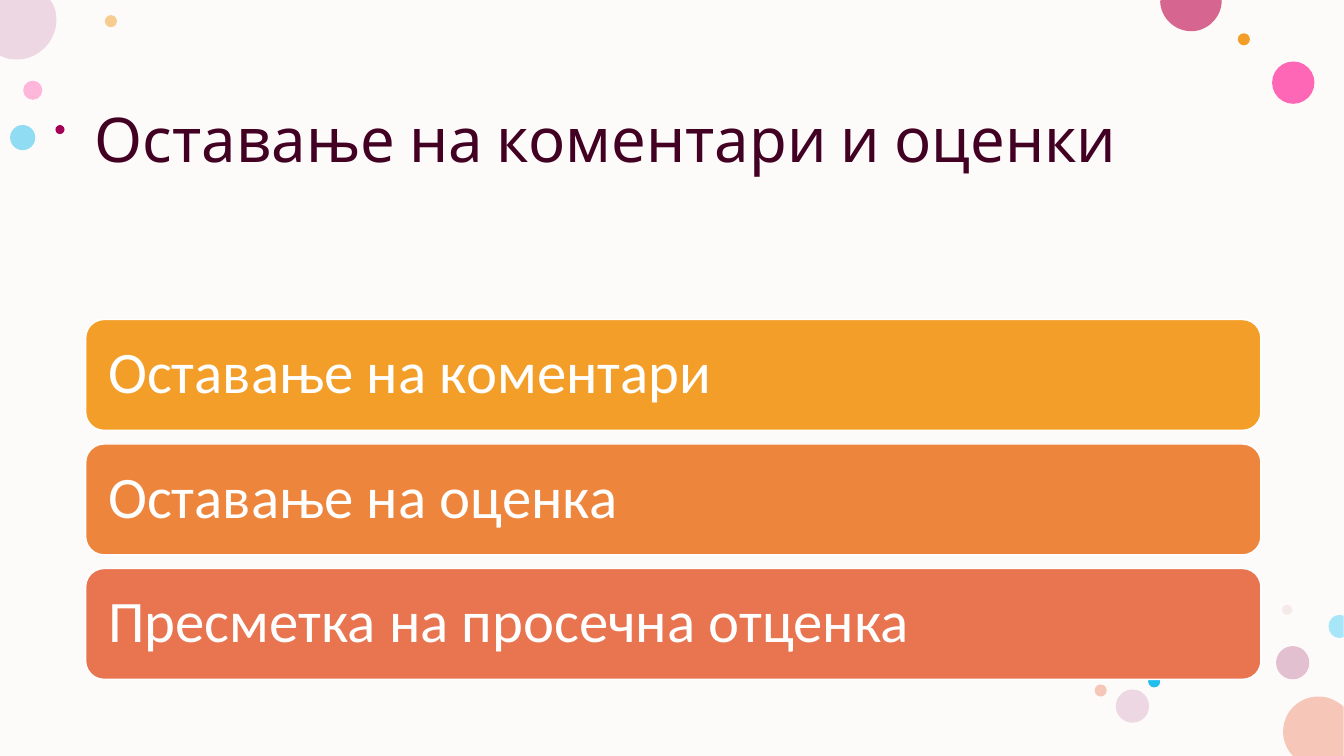
import pptx
import pptx.util
from lxml import etree
from pptx.dml.color import RGBColor
from pptx.enum.shapes import MSO_SHAPE
from pptx.enum.text import MSO_ANCHOR, PP_ALIGN
from pptx.oxml.ns import qn
from pptx.util import Inches

SLIDE_HEIGHT = 7.5
SLIDE_WIDTH = SLIDE_HEIGHT * 16 / 9

CREAM = RGBColor(0xFD, 0xFB, 0xF9)
WHITE = RGBColor(0xFF, 0xFF, 0xFF)
PLUM = RGBColor(0x42, 0x00, 0x23)
AMBER = RGBColor(0xF3, 0x9E, 0x29)
ORANGE = RGBColor(0xED, 0x85, 0x3D)
CORAL = RGBColor(0xE8, 0x74, 0x50)
PINK = RGBColor(0xFF, 0x75, 0xBD)
HOT_PINK = RGBColor(0xFF, 0x2F, 0x9C)
MAUVE = RGBColor(0xC9, 0x87, 0xA8)
SKY = RGBColor(0x24, 0xBE, 0xEE)
PALE_SKY = RGBColor(0xA7, 0xE5, 0xF8)
DUSTY = RGBColor(0xE3, 0xBE, 0xBE)
LILAC = RGBColor(0xED, 0xD7, 0xE2)
PEACH = RGBColor(0xF6, 0xC7, 0xB9)
ROSE = RGBColor(0xD6, 0x65, 0x8F)
MAGENTA = RGBColor(0xA4, 0x00, 0x56)

# left, top, diameter, colour, opacity in percent
DOTS = [
    (0.23, 0.8, 0.19, PINK, 50),
    (1.04, 0.15, 0.12, AMBER, 50),
    (12.66, 6.41, 0.33, MAUVE, 50),
    (0.1, 1.24, 0.25, SKY, 50),
    (12.62, 0.61, 0.42, HOT_PINK, 72),
    (12.28, 0.33, 0.12, AMBER, 100),
    (12.72, 6, 0.1, DUSTY, 28),
    (11.39, 6.7, 0.12, SKY, 100),
    (11.07, 6.84, 0.33, LILAC, 100),
    (10.86, 6.79, 0.12, PEACH, 100),
    (0.55, 1.24, 0.09, MAGENTA, 100),
]

# colour, start point, then segments of one point (line) or three (curve)
EDGE_CIRCLES = [
    (PEACH, (13.08, 6.91), [
        [(13.18, 6.91), (13.26, 6.95), (13.33, 7.01)],
        [(13.33, 7.5)], [(12.83, 7.5)], [(12.81, 7.48)],
        [(12.76, 7.42), (12.73, 7.34), (12.73, 7.26)],
        [(12.73, 7.06), (12.89, 6.91), (13.08, 6.91)]]),
    (LILAC, (0, 0), [
        [(0.5, 0)], [(0.53, 0.05)],
        [(0.55, 0.09), (0.56, 0.14), (0.56, 0.2)],
        [(0.56, 0.41), (0.38, 0.59), (0.17, 0.59)],
        [(0.11, 0.59), (0.06, 0.58), (0.02, 0.56)],
        [(0, 0.55)]]),
    (ROSE, (11.52, 0), [
        [(12.12, 0)], [(12.12, 0.01)],
        [(12.12, 0.17), (11.98, 0.31), (11.82, 0.31)],
        [(11.65, 0.31), (11.51, 0.17), (11.51, 0.01)]]),
    (PALE_SKY, (13.29, 6.1), [
        [(13.33, 6.11)], [(13.33, 6.32)], [(13.29, 6.33)],
        [(13.23, 6.33), (13.18, 6.28), (13.18, 6.21)],
        [(13.18, 6.15), (13.23, 6.1), (13.29, 6.1)]]),
]

BARS = [
    ("Оставање на коментари", AMBER),
    ("Оставање на оценка", ORANGE),
    ("Пресметка на просечна отценка", CORAL),
]
BAR_LEFT, BAR_WIDTH, BAR_HEIGHT = 0.85, 11.66, 1.1
BARS_TOP, BARS_BOTTOM = 3.17, 6.74


def paint(shape, color, opacity=100):
    shape.shadow.inherit = False
    shape.line.fill.background()
    shape.fill.solid()
    shape.fill.fore_color.rgb = color
    if opacity < 100:
        color_element = shape.fill._xPr.find(qn("a:solidFill"))[0]
        etree.SubElement(color_element, qn("a:alpha"), val=str(opacity * 1000))


def add_shape(slide, preset, left, top, width, height, color, opacity=100):
    shape = slide.shapes.add_shape(
        preset, Inches(left), Inches(top), Inches(width), Inches(height))
    paint(shape, color, opacity)
    return shape


def add_edge_circle(slide, color, start, segments):
    """Draw a circle cut by the slide's edge, with three-point segments as curves."""
    points = [(Inches(x), Inches(y)) for segment in segments for x, y in segment]
    builder = slide.shapes.build_freeform(Inches(start[0]), Inches(start[1]))
    builder.add_line_segments(points, close=True)
    shape = builder.convert_to_shape()
    paint(shape, color)

    lines = iter(list(shape._element.iter(qn("a:lnTo"))))
    for segment in segments:
        segment_lines = [next(lines) for _ in segment]
        if len(segment) == 3:
            first = segment_lines[0]
            first.addprevious(first.makeelement(qn("a:cubicBezTo")))
            curve = first.getprevious()
            for line in segment_lines:
                curve.append(line[0])
                line.getparent().remove(line)


def write_text(shape, text, font_name, size, color):
    shape.text_frame.word_wrap = True
    shape.text_frame.text = text
    paragraph = shape.text_frame.paragraphs[0]
    paragraph.alignment = PP_ALIGN.LEFT
    paragraph.line_spacing = 0.9
    font = paragraph.runs[0].font
    font.name = font_name
    font.size = pptx.util.Pt(size)
    font.color.rgb = color


def add_title(slide, text):
    title = slide.shapes.add_textbox(
        Inches(0.84), Inches(1.04), Inches(11.78), Inches(1.97))
    write_text(title, text, "Cabin", 44, PLUM)


def add_bar(slide, top, text, color):
    bar = add_shape(slide, MSO_SHAPE.ROUNDED_RECTANGLE,
                    BAR_LEFT, top, BAR_WIDTH, BAR_HEIGHT, color)
    bar.line.color.rgb = WHITE
    bar.line.width = pptx.util.Pt(1)
    write_text(bar, text, "Calibri", 42, WHITE)
    frame = bar.text_frame
    frame.vertical_anchor = MSO_ANCHOR.MIDDLE
    frame.margin_left = frame.margin_right = Inches(0.17)


def main():
    presentation = pptx.Presentation()
    presentation.slide_width = Inches(SLIDE_WIDTH)
    presentation.slide_height = Inches(SLIDE_HEIGHT)
    slide = presentation.slides.add_slide(presentation.slide_layouts[6])

    add_shape(slide, MSO_SHAPE.RECTANGLE, 0, 0, SLIDE_WIDTH, SLIDE_HEIGHT, CREAM)
    for left, top, diameter, color, opacity in DOTS:
        add_shape(slide, MSO_SHAPE.OVAL, left, top, diameter, diameter, color, opacity)
    for color, start, segments in EDGE_CIRCLES:
        add_edge_circle(slide, color, start, segments)

    add_title(slide, "Оставање на коментари и оценки")
    pitch = (BARS_BOTTOM - BARS_TOP - BAR_HEIGHT) / (len(BARS) - 1)
    for index, (text, color) in enumerate(BARS):
        add_bar(slide, BARS_TOP + index * pitch, text, color)

    presentation.save("out.pptx")


if __name__ == "__main__":
    main()
